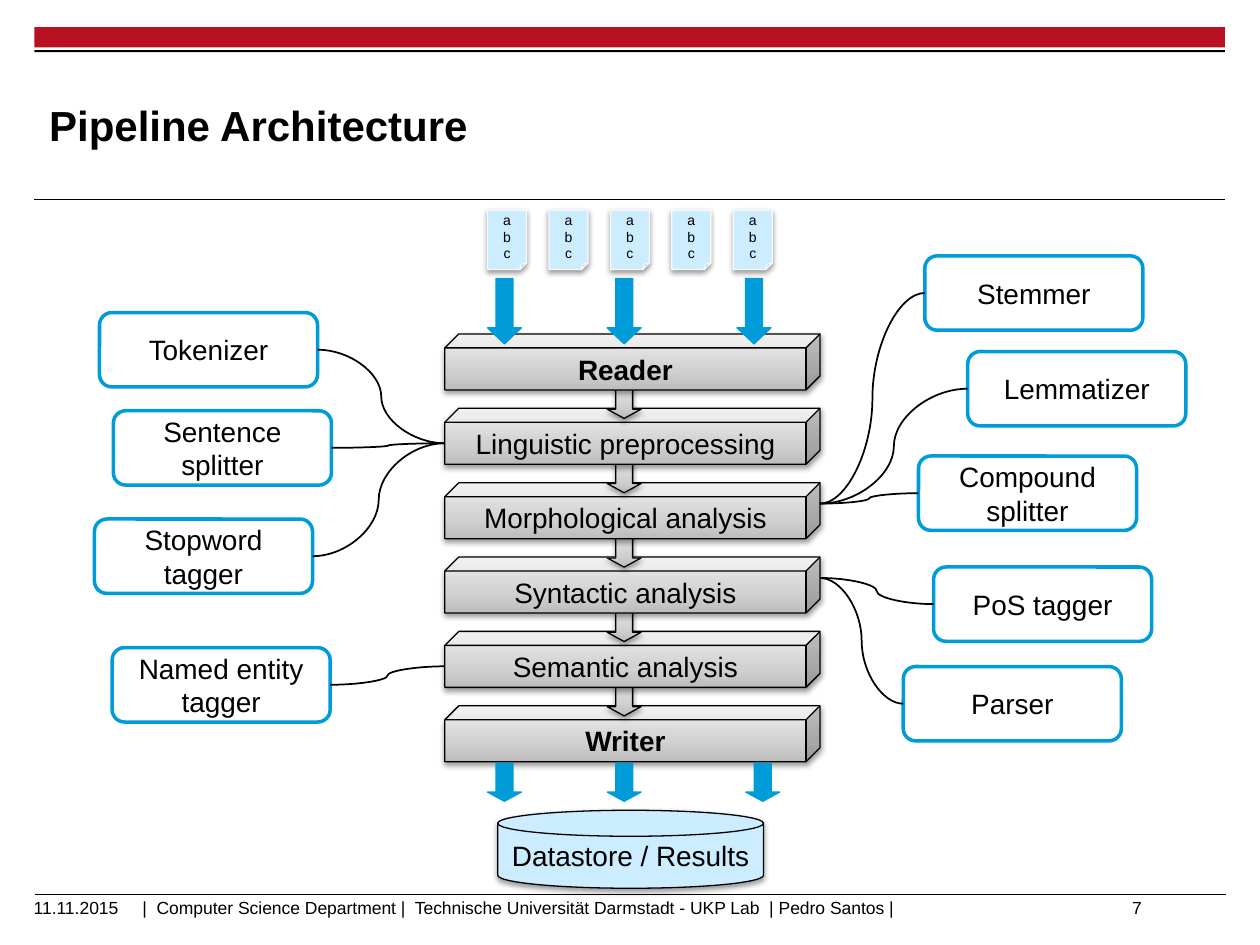
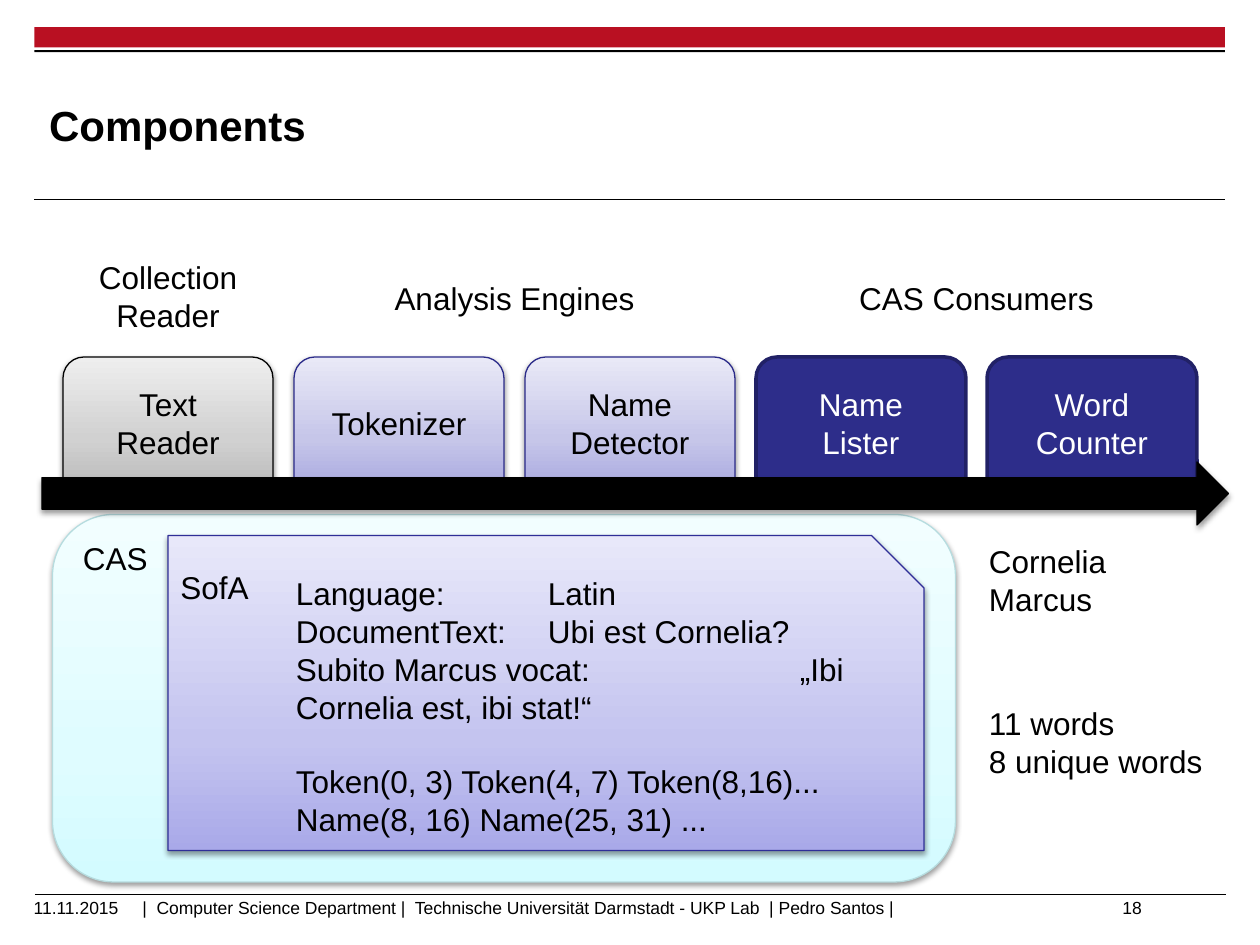
from copy import deepcopy

from lxml import etree
from pptx import Presentation
from pptx.dml.color import RGBColor
from pptx.enum.shapes import MSO_CONNECTOR, MSO_SHAPE
from pptx.enum.text import MSO_ANCHOR, MSO_AUTO_SIZE, PP_ALIGN
from pptx.oxml.ns import qn
from pptx.util import Pt

LEFT, CENTER, RIGHT = PP_ALIGN.LEFT, PP_ALIGN.CENTER, PP_ALIGN.RIGHT
TOP, MIDDLE = MSO_ANCHOR.TOP, MSO_ANCHOR.MIDDLE
RECT, ROUNDED, CUBE = MSO_SHAPE.RECTANGLE, MSO_SHAPE.ROUNDED_RECTANGLE, MSO_SHAPE.CUBE
DOWN, ONWARD = MSO_SHAPE.DOWN_ARROW, MSO_SHAPE.RIGHT_ARROW
PAGE, DISK = MSO_SHAPE.FOLDED_CORNER, MSO_SHAPE.FLOWCHART_MAGNETIC_DISK
TAB_TOP, SNIPPED = MSO_SHAPE.ROUND_2_SAME_RECTANGLE, MSO_SHAPE.SNIP_1_RECTANGLE
STRAIGHT, CURVE = MSO_CONNECTOR.STRAIGHT, MSO_CONNECTOR.CURVE


class Theme:
    font = "Arial"
    title, body, label, footer, page = 24, 18, 16, 10, 8
    black, white, red = "000000", "FFFFFF", "B91022"
    blue, pale_blue, page_edge = "009CDA", "CCECFF", "F9F9F9"
    navy, navy_edge = "2D2D8A", "212166"
    engine_edge, cas_edge, sofa_edge = "2A2A89", "B6DCDF", "2F2F98"
    grey_fade = ("BDBDBD", "D1D1D1", "EEEEEE")
    engine_fade = ("ADADE1", "C6C6E9", "E9E9F7")
    cas_fade = ("D3FBFF", "DFFCFF", "F2FEFF")
    sofa_fade = ("A9A9E9", "C4C4EF", "E8E8FA")
    fade_stops = (0, 0.35, 1)


def write(holder, text, size=Theme.body, color=Theme.black, bold=False,
          align=LEFT, anchor=TOP, wrap=True, inset=None):
    frame = holder.text_frame
    frame.text = text
    frame.word_wrap = wrap
    frame.auto_size = MSO_AUTO_SIZE.NONE
    frame.vertical_anchor = anchor
    if inset is not None:
        frame.margin_left = frame.margin_right = Pt(inset)
        frame.margin_top = frame.margin_bottom = Pt(inset)
    for paragraph in frame.paragraphs:
        paragraph.alignment = align
        for run in paragraph.runs:
            run.font.name = Theme.font
            run.font.size = Pt(size)
            run.font.bold = bold
            run.font.color.rgb = RGBColor.from_string(color)
    return frame


def draw(slide, kind, box, fill, edge=None, weight=0.75, shadow=False, adjust=()):
    shape = slide.shapes.add_shape(kind, *map(Pt, box))
    for index, value in enumerate(adjust):
        shape.adjustments[index] = value
    if isinstance(fill, tuple):
        shape.fill.gradient()
        shape.fill.gradient_angle = 90
        stop_list = shape._element.spPr.find(".//" + qn("a:gsLst"))
        stop_list.append(deepcopy(stop_list[-1]))
        for stop, position, color in zip(shape.fill.gradient_stops, Theme.fade_stops, fill):
            stop.position = position
            stop.color.rgb = RGBColor.from_string(color)
    else:
        shape.fill.solid()
        shape.fill.fore_color.rgb = RGBColor.from_string(fill)
    if edge:
        shape.line.color.rgb = RGBColor.from_string(edge)
        shape.line.width = Pt(weight)
    else:
        shape.line.fill.background()
    shape.shadow.inherit = False
    if shadow:
        effects = shape._element.spPr.find(qn("a:effectLst"))
        outer = etree.SubElement(effects, qn("a:outerShdw"), blurRad=str(Pt(3.1)),
                                 dist=str(Pt(1.6)), dir="5400000", rotWithShape="0")
        tint = etree.SubElement(outer, qn("a:srgbClr"), val=Theme.black)
        etree.SubElement(tint, qn("a:alpha"), val="38000")
    return shape


prs = Presentation()
prs.slide_width, prs.slide_height = Pt(720), Pt(540)
layout = prs.slide_layouts[5]
for placeholder in list(layout.placeholders)[1:]:
    placeholder._element.getparent().remove(placeholder._element)

footers = [
    ((81.4, 512.6, 543, 18), LEFT, TOP, 0,
     "|  Computer Science Department |  Technische Universität Darmstadt - UKP Lab  | Pedro Santos |"),
    ((12.2, 504, 84.2, 28.8), LEFT, MIDDLE, None, "11.11.2015"),
]
slides = []
for heading, number in [("Pipeline Architecture", "7"), ("Components", "18")]:
    slide = prs.slides.add_slide(layout)
    slides.append(slide)
    title = slide.shapes.title
    title.left, title.top, title.width, title.height = map(Pt, (28.1, 38.2, 541.4, 66.2))
    write(title, heading, size=Theme.title, bold=True, anchor=MIDDLE, inset=0)
    page_number = ((491.8, 504, 167.8, 28.8), RIGHT, MIDDLE, None, number)
    for box, align, anchor, inset, text in footers + [page_number]:
        write(slide.shapes.add_textbox(*map(Pt, box)), text, size=Theme.footer,
              align=align, anchor=anchor, inset=inset)
pipeline, components = slides

bands = [draw(pipeline, RECT, (19.6, 15.6, 680.4, 11.5), Theme.red),
         draw(pipeline, RECT, (19.6, 28.6, 680.4, 1.2), Theme.black)]
for x, y in [(19.6, 114.2), (20, 511.2)]:
    rule = pipeline.shapes.add_connector(STRAIGHT, Pt(x), Pt(y), Pt(x + 680.4), Pt(y))
    rule.line.color.rgb = RGBColor.from_string(Theme.black)
    rule.line.width = Pt(0.6)
    etree.SubElement(rule._element.spPr, qn("a:effectLst"))
    bands.append(rule)
for band in bands:
    layout.shapes._spTree.append(band._element)

stages = [
    ("Reader", []),
    ("Linguistic preprocessing", [("Tokenizer", 56.9, 178.6),
                                  ("Sentence splitter", 64.8, 234.7),
                                  ("Stopword tagger", 54, 296.6)]),
    ("Morphological analysis", [("Stemmer", 528.5, 146.2),
                                ("Lemmatizer", 553, 200.9),
                                ("Compound splitter", 524.9, 260.6)]),
    ("Syntactic analysis", [("PoS tagger", 533.5, 324), ("Parser", 516.2, 380.9)]),
    ("Semantic analysis", [("Named entity tagger", 64.1, 370.1)]),
    ("Writer", []),
]
stage_left, stage_width, stage_height = 254.2, 214.4, 32
first_stage, stage_pitch = 190.8, 42.5
part_width, part_height = 124.6, 42.5
arrow_left, arrow_width, arrow_height = 347, 19.4, 21.6

for index, (stage, parts) in reversed(list(enumerate(stages))):
    stage_top = first_stage + index * stage_pitch
    block = draw(pipeline, CUBE, (stage_left, stage_top, stage_width, stage_height),
                 Theme.grey_fade, Theme.black, shadow=True, adjust=[0.25])
    write(block, stage, size=Theme.label, bold=stage in ("Reader", "Writer"),
          align=CENTER, anchor=MIDDLE, wrap=False)
    if index:
        draw(pipeline, DOWN, (arrow_left, stage_top - 15.8, arrow_width, arrow_height),
             Theme.grey_fade, Theme.black, shadow=True, adjust=[0.5, 0.271])
    for part, x, y in parts:
        part_box = draw(pipeline, ROUNDED, (x, y, part_width, part_height),
                        Theme.white, Theme.blue, weight=2)
        write(part_box, part, size=Theme.label, align=CENTER, anchor=MIDDLE)
        if x < stage_left:
            start, hub = x + part_width, (stage_left, stage_top + 20)
        else:
            start, hub = x, (stage_left + stage_width, stage_top + 12)
        link = pipeline.shapes.add_connector(CURVE, Pt(start), Pt(y + part_height / 2),
                                             *map(Pt, hub))
        link.line.color.rgb = RGBColor.from_string(Theme.black)
        link.line.width = Pt(1)
        etree.SubElement(link._element.spPr, qn("a:effectLst"))

for y, height, head, columns in [(159.1, 37.4, 0.473, (278.6, 347, 421.2)),
                                 (436.3, 21.6, 0.271, (278.6, 347, 426.2))]:
    for x in columns:
        draw(pipeline, DOWN, (x, y, arrow_width, height), Theme.blue, Theme.blue,
             adjust=[0.5, head])
for column in range(5):
    document = draw(pipeline, PAGE, (278.6 + 35.1 * column, 120.2, 22.3, 33.8),
                    Theme.pale_blue, Theme.page_edge, shadow=True)
    write(document, "abc", size=Theme.page, align=CENTER, anchor=MIDDLE)
datastore = draw(pipeline, DISK, (284.4, 463, 151.9, 44.6), Theme.pale_blue,
                 Theme.black, shadow=True)
write(datastore, "Datastore / Results", size=Theme.label, align=CENTER, anchor=MIDDLE)

reader_look = (Theme.grey_fade, Theme.black, 0.75, True)
engine_look = (Theme.engine_fade, Theme.engine_edge, 0.75, True)
consumer_look = (Theme.navy, Theme.navy_edge, 2, False)
steps = [("Text\nReader", reader_look), ("Tokenizer", engine_look),
         ("Name\nDetector", engine_look), ("Name\nLister", consumer_look),
         ("Word\nCounter", consumer_look)]
for index, (step, look) in enumerate(steps):
    step_box = draw(components, TAB_TOP, (36 + 132 * index, 204, 120, 72), *look)
    write(step_box, step, color=Theme.white if look is consumer_look else Theme.black,
          align=CENTER, anchor=MIDDLE)
for group, box in [("Collection\vReader", (36, 144, 120, 51)),
                   ("Analysis Engines", (168, 156, 252, 30)),
                   ("CAS Consumers", (432, 156, 252, 30))]:
    write(components.shapes.add_textbox(*map(Pt, box)), group, align=CENTER)

cas = draw(components, ROUNDED, (30, 294, 516, 210), Theme.cas_fade, Theme.cas_edge, shadow=True)
write(cas, "CAS")
sofa = draw(components, SNIPPED, (96, 306, 432, 180), Theme.sofa_fade, Theme.sofa_edge, shadow=True)
write(sofa, "SofA")
content = write(
    components.shapes.add_textbox(Pt(162), Pt(324.7), Pt(366), Pt(160)),
    "Language:\tLatin\n"
    "DocumentText:\tUbi est Cornelia?\vSubito Marcus vocat:\t„Ibi Cornelia est, ibi stat!“\n"
    "Token(0, 3) Token(4, 7) Token(8,16)...\n"
    "Name(8, 16) Name(25, 31) ...")
for paragraph in content.paragraphs[:2]:
    tabs = etree.SubElement(paragraph._p.get_or_add_pPr(), qn("a:tabLst"))
    for position in (144, 288):
        etree.SubElement(tabs, qn("a:tab"), pos=str(Pt(position)), algn="l")
content.paragraphs[2].space_before = Pt(21)

for output, box in [("Cornelia\nMarcus", (558, 306, 114, 51)),
                    ("11 words\n8 unique words", (558, 399, 138, 51))]:
    write(components.shapes.add_textbox(*map(Pt, box)), output)
draw(components, ONWARD, (24, 264, 678, 36), Theme.black, Theme.black, shadow=True)

prs.save("out.pptx")
